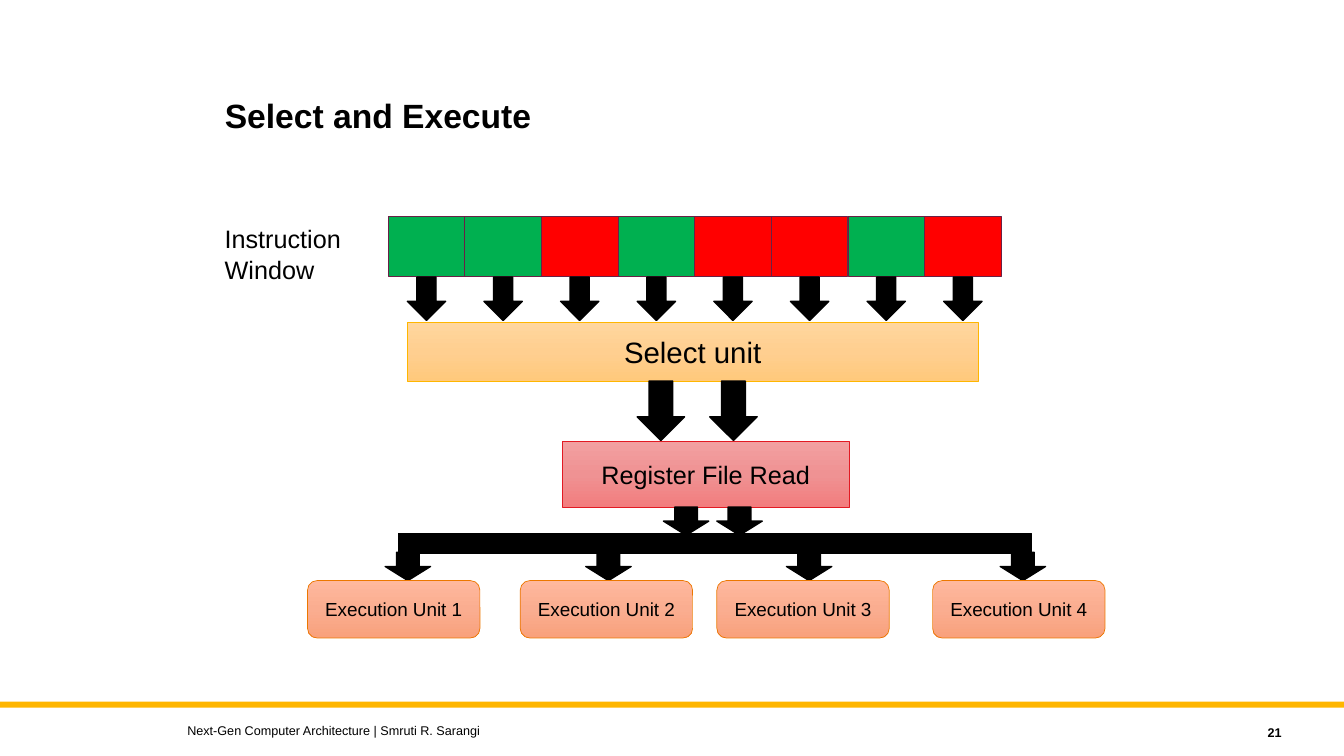
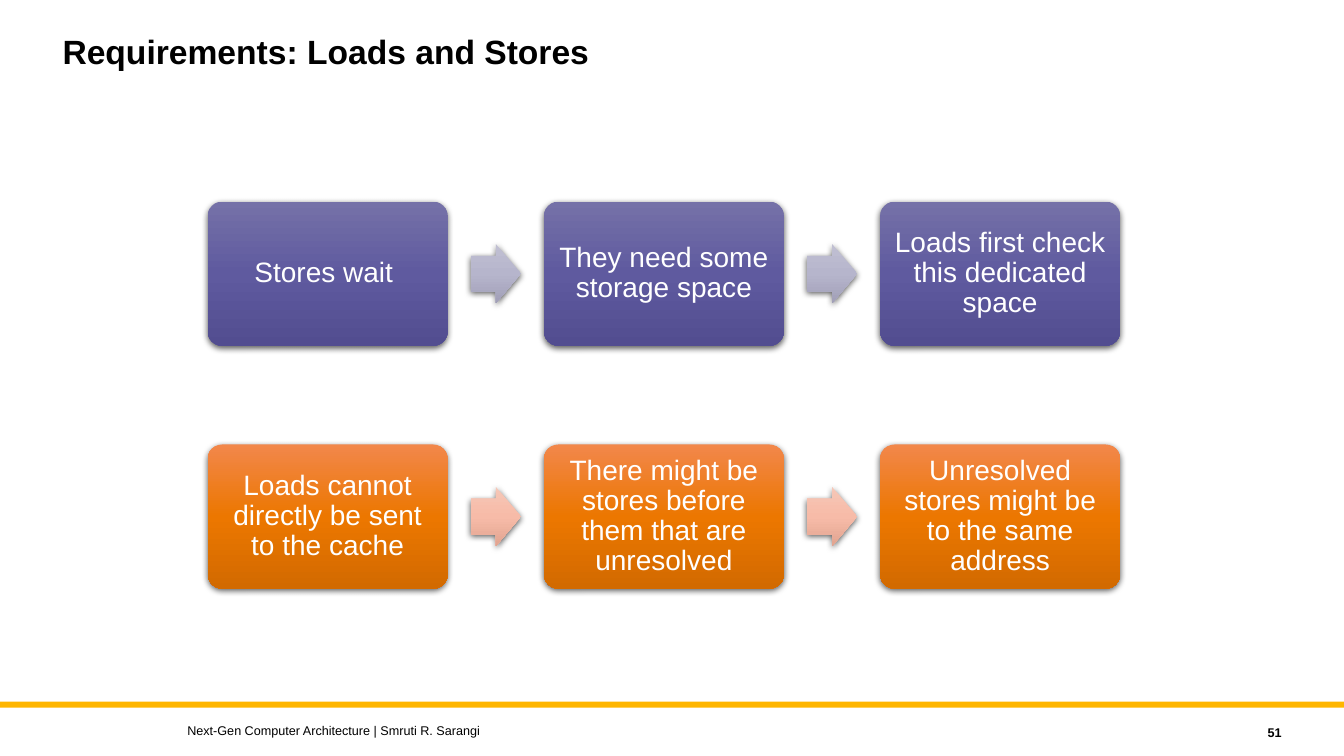
from lxml import etree
from pptx import Presentation
from pptx.dml.color import RGBColor
from pptx.enum.shapes import MSO_SHAPE
from pptx.enum.text import MSO_ANCHOR, MSO_AUTO_SIZE, PP_ALIGN
from pptx.oxml.ns import qn
from pptx.util import Inches, Pt

RECT, ROUNDED = MSO_SHAPE.RECTANGLE, MSO_SHAPE.ROUNDED_RECTANGLE
DOWN, RIGHT_ARROW = MSO_SHAPE.DOWN_ARROW, MSO_SHAPE.RIGHT_ARROW
LEFT, CENTER, RIGHT = PP_ALIGN.LEFT, PP_ALIGN.CENTER, PP_ALIGN.RIGHT
TOP, MIDDLE = MSO_ANCHOR.TOP, MSO_ANCHOR.MIDDLE

SLIDE_W, SLIDE_H = 13.33, 7.5
FONT = "Arial"
TITLE_ONLY = 5

BLACK = RGBColor(0x00, 0x00, 0x00)
WHITE = RGBColor(0xFF, 0xFF, 0xFF)
AMBER = RGBColor(0xFF, 0xB6, 0x00)
CRIMSON = RGBColor(0xE2, 0x1A, 0x23)
ORANGE = RGBColor(0xEC, 0x77, 0x00)
PLUM = RGBColor(0x69, 0x21, 0x46)
READY = RGBColor(0x00, 0xB0, 0x50)
WAITING = RGBColor(0xFF, 0x00, 0x00)


def shades(*codes):
    """Colours of a gradient, from top to bottom."""
    return [RGBColor.from_string(code) for code in codes]


AMBER_TINT = shades("FFD69E", "FFCF90", "FFC97C")
RED_TINT = shades("F2A0A1", "EF9293", "F27D7E")
ORANGE_TINT = shades("FFB89D", "FAAD90", "F9A17C")
VIOLET_STEP = shades("7571A8", "5F5A9F", "524D90")
VIOLET_ARROW = shades("C0BFD2", "B6B5CC", "A19FB7")
ORANGE_STEP = shades("F2874B", "EC7700", "D26A00")
ORANGE_ARROW = shades("F6C7B7", "F7BBA8", "E1A490")


def write(frame, lines, size, color=BLACK, bold=False, align=LEFT,
          anchor=MIDDLE, spacing=None):
    frame.vertical_anchor = anchor
    for index, line in enumerate(lines):
        paragraph = frame.add_paragraph() if index else frame.paragraphs[0]
        paragraph.alignment = align
        if spacing:
            paragraph.line_spacing = spacing
        run = paragraph.add_run()
        run.text = line
        font = run.font
        font.name, font.size, font.bold = FONT, Pt(size), bold
        font.color.rgb = color


def add_label(slide, box, lines, size, wrap=True, **style):
    frame = slide.shapes.add_textbox(*map(Inches, box)).text_frame
    frame.word_wrap = wrap
    write(frame, lines, size, **style)


def fill_gradient(shape, colors):
    shape.fill.gradient()
    shape.fill.gradient_angle = 270
    stops = shape.element.spPr.find(".//" + qn("a:gsLst"))
    for stop in list(stops):
        stops.remove(stop)
    for index, color in enumerate(colors):
        position = 100000 * index // (len(colors) - 1)
        stop = etree.SubElement(stops, qn("a:gs"), pos=str(position))
        etree.SubElement(stop, qn("a:srgbClr"), val=str(color))


def add_block(slide, kind, box, fill, line=None, weight=0.5):
    """Preset shape with a plain colour or a list of gradient colours."""
    block = slide.shapes.add_shape(kind, *map(Inches, box))
    block.shadow.inherit = False
    if isinstance(fill, list):
        fill_gradient(block, fill)
    else:
        block.fill.solid()
        block.fill.fore_color.rgb = fill
    if line is None:
        block.line.fill.background()
    else:
        block.line.color.rgb = line
        block.line.width = Pt(weight)
    return block


def add_shadow(shape):
    effects = shape.element.spPr.find(qn("a:effectLst"))
    shadow = etree.SubElement(effects, qn("a:outerShdw"), blurRad=str(Pt(4.5)),
                              dist=str(Pt(1.5)), dir="5400000", rotWithShape="0")
    color = etree.SubElement(shadow, qn("a:srgbClr"), val=str(BLACK))
    etree.SubElement(color, qn("a:alpha"), val="63000")


def add_unit(slide, kind, box, fill, line, text, size):
    unit = add_block(slide, kind, box, fill, line)
    write(unit.text_frame, [text], size, align=CENTER)


def add_down_arrows(slide, lefts, top, width, height):
    for left in lefts:
        add_block(slide, DOWN, (left, top, width, height), BLACK, BLACK, 1)


def add_step(slide, box, fill, text):
    step = add_block(slide, ROUNDED, box, fill)
    step.adjustments[0] = 0.1
    add_shadow(step)
    frame = step.text_frame
    frame.word_wrap = True
    frame.margin_left = frame.margin_right = Inches(0.08)
    frame.margin_top = frame.margin_bottom = Inches(0.08)
    write(frame, [text], 20, color=WHITE, align=CENTER, spacing=0.9)


def add_flow(slide, top, step_fill, arrow_fill, texts):
    """Row of steps joined by arrows."""
    left, pitch, width, height = 2.06, 3.335, 2.38, 1.43
    arrow_w, arrow_h = 0.5, 0.59
    for index, text in enumerate(texts):
        x = left + index * pitch
        add_step(slide, (x, top, width, height), step_fill, text)
        if index < len(texts) - 1:
            arrow_x = x + width + (pitch - width - arrow_w) / 2
            arrow_y = top + (height - arrow_h) / 2
            arrow = add_block(slide, RIGHT_ARROW,
                              (arrow_x, arrow_y, arrow_w, arrow_h), arrow_fill)
            arrow.adjustments[0] = 0.6
            add_shadow(arrow)


def add_slide(deck, title, title_box, number):
    """Slide with the shared title style and footer."""
    slide = deck.slides.add_slide(deck.slide_layouts[TITLE_ONLY])
    heading = slide.shapes.title
    heading.left, heading.top, heading.width, heading.height = map(Inches, title_box)
    heading.text_frame.auto_size = MSO_AUTO_SIZE.NONE
    write(heading.text_frame, [title], 24, bold=True, anchor=TOP, spacing=0.9)
    add_label(slide, (1.76, 7.12, 8, 0.25),
              ["Next-Gen Computer Architecture | Smruti R. Sarangi"], 9)
    add_label(slide, (11.41, 7.14, 1.4, 0.25), [number], 9, bold=True, align=RIGHT)
    return slide


def add_layout_band(slide):
    """Put the amber band on the layout that all slides share."""
    band = add_block(slide, RECT, (0, 6.96, SLIDE_W, 0.06), AMBER)
    slide.slide_layout.shapes.element.append(band.element)


def build_select_slide(deck):
    slide = add_slide(deck, "Select and Execute", (2.13, 0.94, 8.62, 1.09), "21")
    add_layout_band(slide)

    # Instruction window, one arrow centred under each entry
    add_label(slide, (2.13, 2.17, 1.44, 0.71), ["Instruction", "Window"], 18,
              wrap=False, anchor=TOP)
    window_left, entry_w, arrow_w = 3.85, 0.76, 0.38
    entries = [READY, READY, WAITING, READY, WAITING, WAITING, READY, WAITING]
    entry_lefts = [window_left + i * entry_w for i in range(len(entries))]
    for left, state in zip(entry_lefts, entries):
        add_block(slide, RECT, (left, 2.15, entry_w, 0.59), state, PLUM)
    add_down_arrows(slide, [x + (entry_w - arrow_w) / 2 for x in entry_lefts],
                    2.75, arrow_w, 0.43)

    # Select unit and register file
    add_unit(slide, RECT, (4.04, 3.2, 5.66, 0.58), AMBER_TINT, AMBER,
             "Select unit", 21)
    add_down_arrows(slide, [6.32, 7.04], 3.78, 0.47, 0.59)
    add_unit(slide, RECT, (5.58, 4.38, 2.84, 0.65), RED_TINT, CRIMSON,
             "Register File Read", 18)

    # Bus to the execution units
    add_down_arrows(slide, [6.58, 7.11], 5.03, 0.45, 0.28)
    add_block(slide, RECT, (3.95, 5.29, 6.28, 0.2), BLACK, BLACK, 1)
    add_down_arrows(slide, [3.82, 5.81, 7.8, 9.92], 5.48, 0.45, 0.28)
    for number, left in enumerate([3.05, 5.16, 7.11, 9.25], start=1):
        add_unit(slide, ROUNDED, (left, 5.76, 1.71, 0.57), ORANGE_TINT, ORANGE,
                 f"Execution Unit {number}", 13.5)


def build_requirements_slide(deck):
    slide = add_slide(deck, "Requirements: Loads and Stores",
                      (0.52, 0.3, 10, 0.9), "51")
    add_flow(slide, 2, VIOLET_STEP, VIOLET_ARROW, [
        "Stores wait ",
        "They need some storage space",
        "Loads first check this dedicated space"])
    add_flow(slide, 4.41, ORANGE_STEP, ORANGE_ARROW, [
        "Loads cannot directly be sent to the cache",
        "There might be stores before them that are unresolved",
        "Unresolved stores might be to the same address"])


def main():
    deck = Presentation()
    deck.slide_width, deck.slide_height = Inches(SLIDE_W), Inches(SLIDE_H)
    build_select_slide(deck)
    build_requirements_slide(deck)
    deck.save("out.pptx")


if __name__ == "__main__":
    main()
